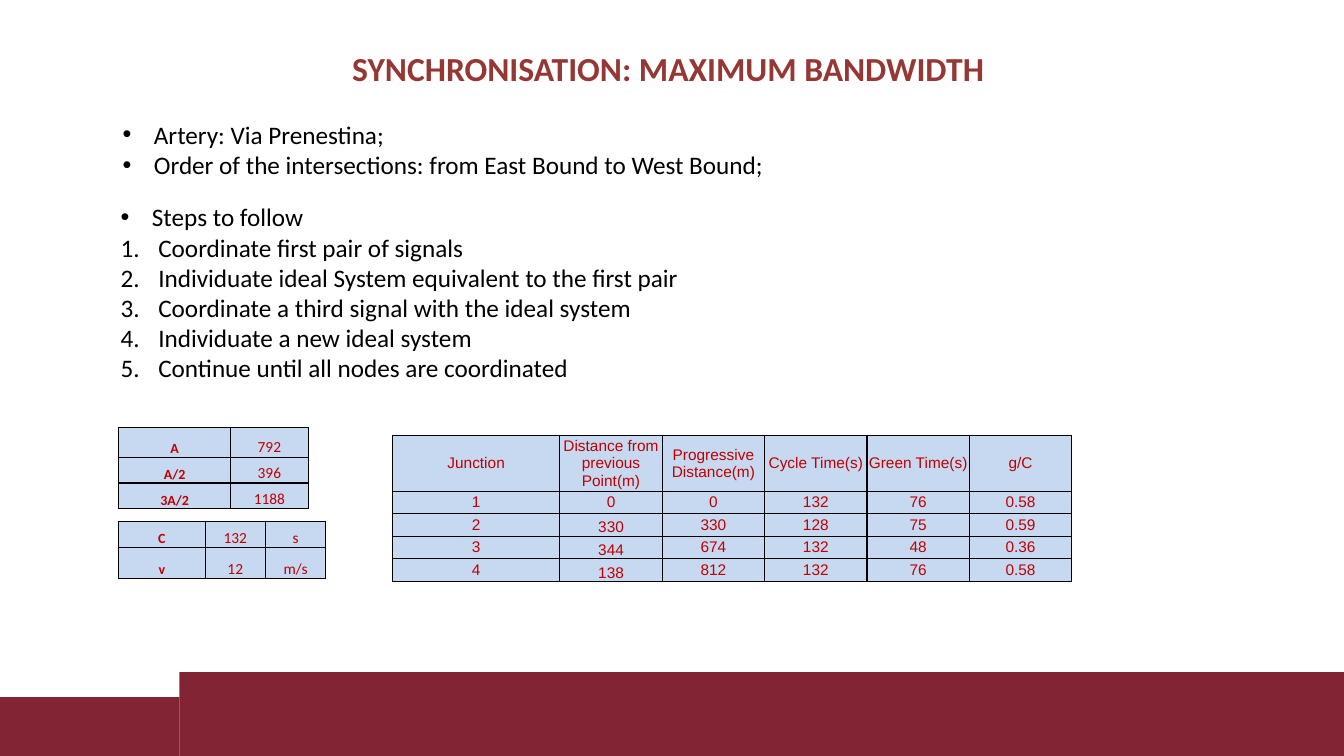
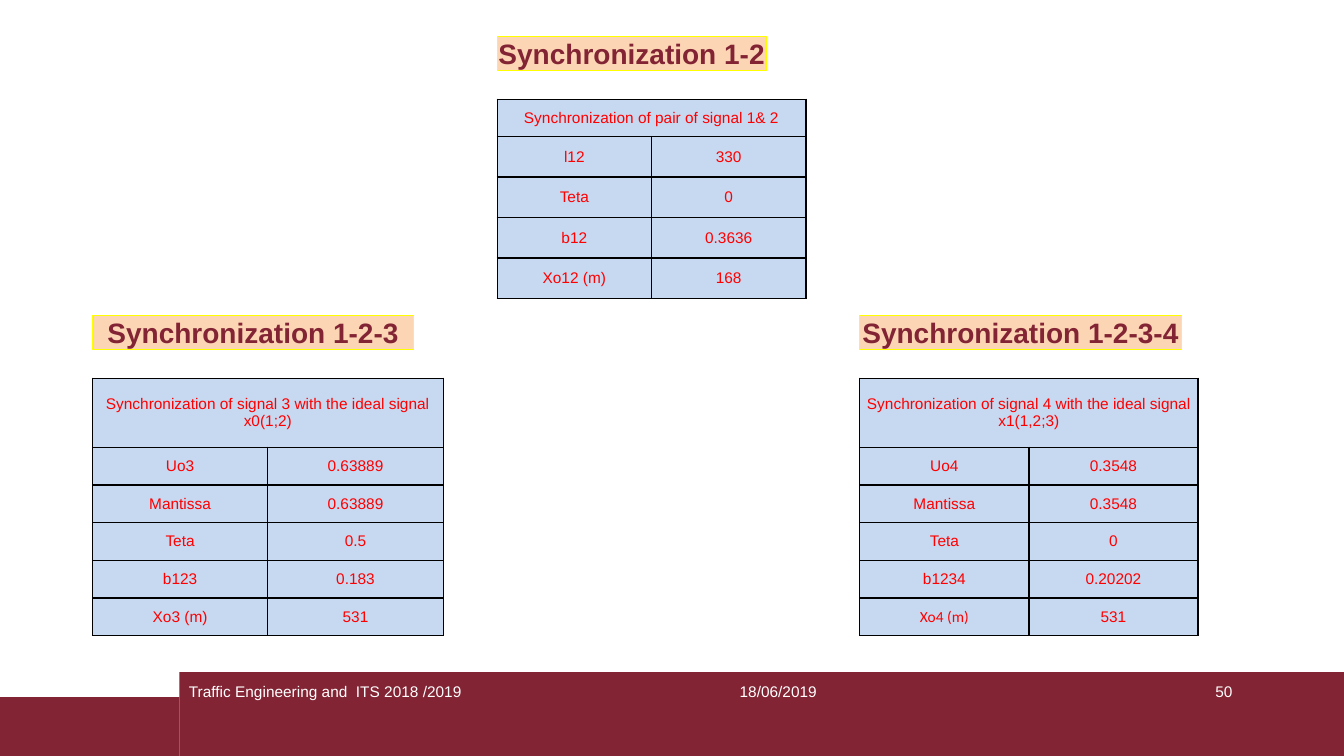
from lxml.etree import SubElement
from pptx import Presentation
from pptx.dml.color import RGBColor
from pptx.enum.shapes import MSO_SHAPE
from pptx.enum.text import MSO_ANCHOR, PP_ALIGN
from pptx.oxml.ns import qn
from pptx.util import Cm, Pt

# Shared look
MAROON, BRICK, DARK_RED, RED = "822433", "953735", "C00000", "FF0000"
PEACH, YELLOW, SKY, BLACK, WHITE = "FCD5B5", "FFFF00", "C6D9F1", "000000", "FFFFFF"
SLIDE_W, SLIDE_H = 33.87, 19.05
BAND_SPLIT = 4.52


def rgb(value):
    return RGBColor.from_string(value)


def add_run(p, text, size, font, color, bold=False):
    r = p.add_run()
    r.text = text
    r.font.size, r.font.name, r.font.bold = Pt(size), font, bold
    r.font.color.rgb = rgb(color)


def set_frame(tf, inset_x=0, inset_y=0, wrap=True):
    tf.word_wrap = wrap
    tf.vertical_anchor = MSO_ANCHOR.TOP
    tf.margin_left = tf.margin_right = Cm(inset_x)
    tf.margin_top = tf.margin_bottom = Cm(inset_y)


def add_rect(s, x, y, w, h, fill, line=None):
    sp = s.shapes.add_shape(MSO_SHAPE.RECTANGLE, Cm(x), Cm(y), Cm(w), Cm(h))
    sp.shadow.inherit = False
    sp.fill.solid()
    sp.fill.fore_color.rgb = rgb(fill)
    if line:
        sp.line.color.rgb = rgb(line)
        sp.line.width = Pt(0.75)
    else:
        sp.line.fill.background()
    return sp


def add_text(s, x, y, w, h, text, size, font, color, bold=False, align=PP_ALIGN.LEFT):
    tf = s.shapes.add_textbox(Cm(x), Cm(y), Cm(w), Cm(h)).text_frame
    set_frame(tf)
    p = tf.paragraphs[0]
    p.alignment = align
    add_run(p, text, size, font, color, bold)


def add_label(s, x, y, w, text):
    tf = add_rect(s, x, y, w, 0.86, PEACH, YELLOW).text_frame
    set_frame(tf, wrap=False)
    p = tf.paragraphs[0]
    p.alignment = PP_ALIGN.CENTER
    add_run(p, text, 20, "Arial", MAROON, True)


# Lists: each item is (text, left margin, hanging indent, numbered)
def add_list(s, x, y, w, h, items, inset_x=0, inset_y=0):
    tf = s.shapes.add_textbox(Cm(x), Cm(y), Cm(w), Cm(h)).text_frame
    set_frame(tf, inset_x, inset_y)
    for i, (text, margin, hang, numbered) in enumerate(items):
        p = tf.add_paragraph() if i else tf.paragraphs[0]
        pPr = p._p.get_or_add_pPr()
        pPr.set("marL", str(Cm(margin)))
        pPr.set("indent", str(-Cm(hang)))
        color = SubElement(pPr, qn("a:buClr"))
        SubElement(color, qn("a:srgbClr"), val=BLACK)
        if numbered:
            SubElement(pPr, qn("a:buFont"), typeface="+mj-lt")
            SubElement(pPr, qn("a:buAutoNum"), type="arabicPeriod")
        else:
            SubElement(pPr, qn("a:buFont"), typeface="Arial")
            SubElement(pPr, qn("a:buChar"), char="•")
        add_run(p, text, 18, "Calibri", BLACK)


# Tables
def style_cell(cell):
    tcPr = cell._tc.get_or_add_tcPr()
    for side in ("a:lnL", "a:lnR", "a:lnT", "a:lnB"):
        ln = SubElement(tcPr, qn(side), w=str(Pt(1)))
        fill = SubElement(ln, qn("a:solidFill"))
        SubElement(fill, qn("a:srgbClr"), val=BLACK)
    cell.fill.solid()
    cell.fill.fore_color.rgb = rgb(SKY)
    cell.margin_left = cell.margin_right = cell.margin_top = cell.margin_bottom = 0


def add_grid(s, x, y, widths, heights, rows, look):
    """Draw a table; look(row, column) gives size, font, colour, bold, anchor."""
    frame = s.shapes.add_table(len(rows), len(widths), Cm(x), Cm(y),
                               Cm(sum(widths)), Cm(sum(heights)))
    table = frame.table
    table.first_row = table.horz_banding = False
    for column, width in zip(table.columns, widths):
        column.width = Cm(width)
    for row, height in zip(table.rows, heights):
        row.height = Cm(height)
    for cell in table.iter_cells():
        style_cell(cell)
    for i, values in enumerate(rows):
        if len(values) == 1:
            table.cell(i, 0).merge(table.cell(i, len(widths) - 1))
        for j, text in enumerate(values):
            size, font, color, bold, anchor = look(i, j)
            cell = table.cell(i, j)
            cell.vertical_anchor = anchor
            p = cell.text_frame.paragraphs[0]
            p.alignment = PP_ALIGN.CENTER
            add_run(p, text, size, font, color, bold)


def parameter_look(i, j):
    return 11 if j else 10, "Calibri", DARK_RED, j == 0, MSO_ANCHOR.BOTTOM


def junction_look(i, j):
    low = j == 1 and i > 1
    return 11, "Arial", DARK_RED, False, MSO_ANCHOR.BOTTOM if low else MSO_ANCHOR.MIDDLE


def result_look(i, j):
    return 11, "Arial", RED, False, MSO_ANCHOR.MIDDLE


def signal_4_look(i, j):
    font = "Calibri" if (i, j) == (5, 0) else "Arial"
    return 11, font, RED, False, MSO_ANCHOR.MIDDLE


def add_result(s, x, y, label_w, label, col_w, heights, rows, look=result_look):
    add_label(s, x, y, label_w, label)
    add_grid(s, x, y + 1.58, [col_w] * 2, heights, rows, look)


# Slides
def new_slide(prs):
    s = prs.slides.add_slide(prs.slide_layouts[6])
    for x, y, w in ((0, 17.57, BAND_SPLIT), (BAND_SPLIT, 16.94, SLIDE_W - BAND_SPLIT)):
        add_rect(s, x, y, w, SLIDE_H - y, MAROON)
    return s


def bandwidth_slide(prs):
    s = new_slide(prs)
    add_text(s, 2.9, 1.22, 27.88, 1.2, "SYNCHRONISATION: MAXIMUM BANDWIDTH",
             24, "Calibri", BRICK, True, PP_ALIGN.CENTER)
    facts = ("Artery: Via Prenestina;",
             "Order of the intersections: from East Bound to West Bound;")
    add_list(s, 2.46, 3, 28.14, 1.55, [(text, 1.42, 0.79, False) for text in facts])
    steps = ("Coordinate first pair of signals",
             "Individuate ideal System equivalent to the first pair",
             "Coordinate a third signal with the ideal system",
             "Individuate a new ideal system",
             "Continue until all nodes are coordinated")
    add_list(s, 2.79, 4.95, 15.67, 6.4,
             [("Steps to follow", 0.79, 0.79, False)]
             + [(text, 0.95, 0.95, True) for text in steps], 0.25, 0.13)

    add_grid(s, 2.99, 10.78, [2.82, 1.96], [0.74, 0.65, 0.65],
             [("A", "792"), ("A/2", "396"), ("3A/2", "1188")], parameter_look)
    add_grid(s, 2.99, 13.15, [2.18, 1.52, 1.52], [0.65, 0.78],
             [("C", "132", "s"), ("v", "12", "m/s")], parameter_look)
    add_grid(s, 9.89, 10.97, [4.22] + [2.58] * 5, [1.42, 0.55, 0.57, 0.57, 0.57], [
        ("Junction", "Distance from previous Point(m)", "Progressive Distance(m)",
         "Cycle Time(s)", "Green Time(s)", "g/C"),
        ("1", "0", "0", "132", "76", "0.58"),
        ("2", "330", "330", "128", "75", "0.59"),
        ("3", "344", "674", "132", "48", "0.36"),
        ("4", "138", "812", "132", "76", "0.58"),
    ], junction_look)


def results_slide(prs):
    s = new_slide(prs)
    add_result(s, 12.53, 0.92, 6.78, "Synchronization 1-2", 3.89, [0.94] + [1.02] * 4, [
        ("Synchronization of pair of signal 1& 2",),
        ("l12", "330"), ("Teta", "0"), ("b12", "0.3636"), ("Xo12 (m)", "168"),
    ])
    tall = [1.74] + [0.95] * 5
    add_result(s, 2.33, 7.95, 8.1, "Synchronization 1-2-3", 4.42, tall, [
        ("Synchronization of signal 3 with the ideal signal x0(1;2)",),
        ("Uo3", "0.63889"), ("Mantissa", "0.63889"), ("Teta", "0.5"),
        ("b123", "0.183"), ("Xo3 (m)", "531"),
    ])
    add_result(s, 21.67, 7.95, 8.1, "Synchronization 1-2-3-4", 4.26, tall, [
        ("Synchronization of signal 4 with the ideal signal x1(1,2;3)",),
        ("Uo4", "0.3548"), ("Mantissa", "0.3548"), ("Teta", "0"),
        ("b1234", "0.20202"), ("Xo4 (m)", "531"),
    ], signal_4_look)

    # Footer
    for x, w, text in ((4.76, 9.2, "Traffic Engineering and  ITS 2018 /2019"),
                       (18.64, 2.5, "18/06/2019"), (30.63, 1, "50")):
        add_text(s, x, 17.2, w, 0.5, text, 11, "Arial", WHITE)


def main():
    prs = Presentation()
    prs.slide_width, prs.slide_height = Cm(SLIDE_W), Cm(SLIDE_H)
    bandwidth_slide(prs)
    results_slide(prs)
    prs.save("out.pptx")


if __name__ == "__main__":
    main()
